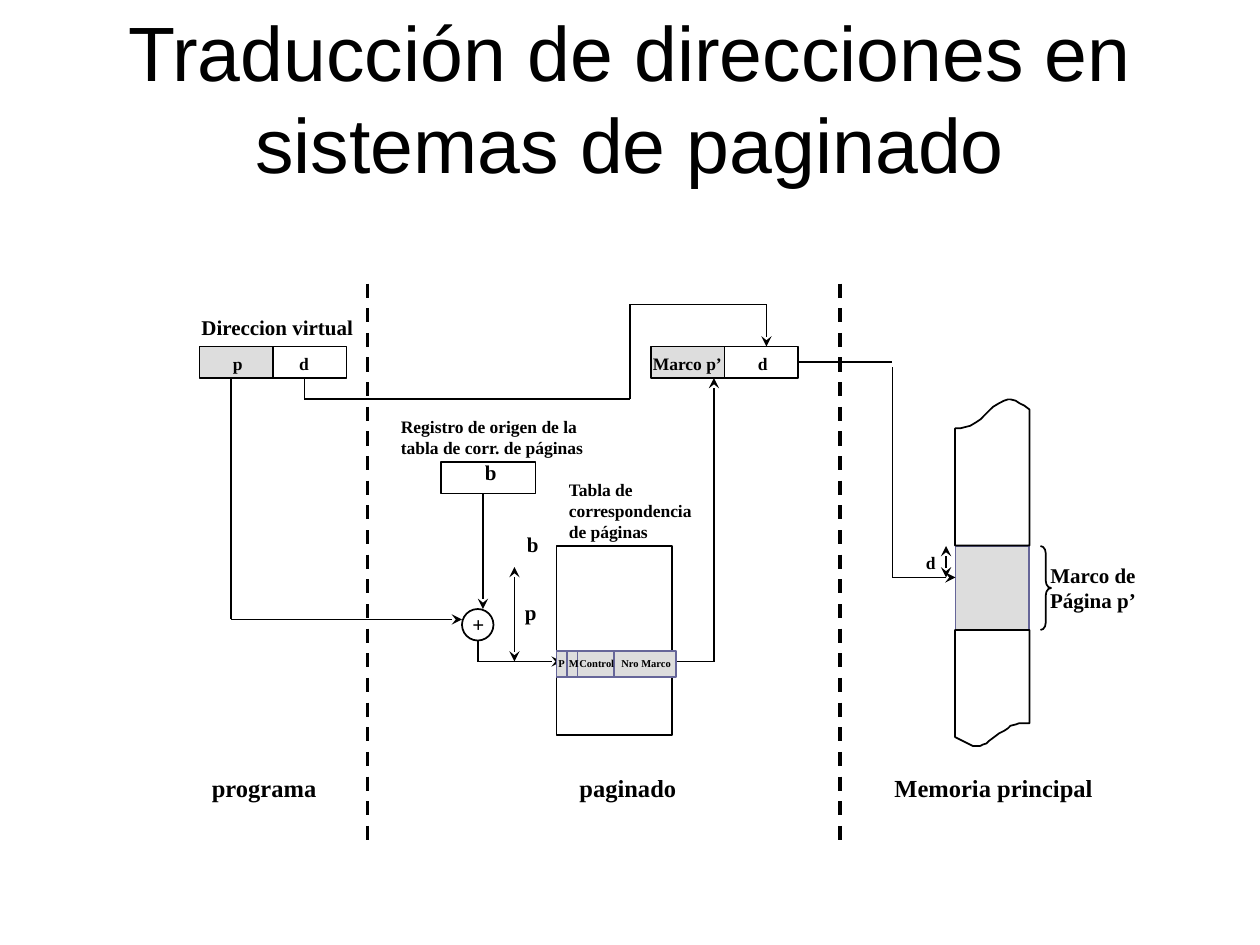
from pptx import Presentation
from pptx.dml.color import RGBColor
from pptx.enum.dml import MSO_LINE
from pptx.enum.shapes import MSO_CONNECTOR, MSO_SHAPE
from pptx.enum.text import MSO_ANCHOR, MSO_AUTO_SIZE, PP_ALIGN
from pptx.oxml.ns import qn
from pptx.util import Emu, Inches, Pt
from lxml.etree import SubElement

COLORS = {"ink": "000000", "paper": "FFFFFF", "gray": "DDDDDD", "slate": "666699"}
COLS, ROWS = 120, 90
UNIT = Inches(10) // COLS
CELL_W, CELL_H = 7, 3

# Memory outlines in hundredths of an inch
UPPER_MEMORY = [
    (817, 325), (813, 322), (809, 320), (806, 318), (802, 317), (800, 317),
    (797, 318), (793, 320), (788, 323), (784, 327), (778, 333), (775, 335),
    (770, 338), (766, 339), (762, 340), (758, 340), (758, 433), (817, 433)]
LOWER_MEMORY = [
    (758, 585), (762, 587), (766, 589), (770, 591), (772, 592), (778, 592),
    (780, 591), (783, 590), (785, 588), (789, 585), (793, 582), (797, 580),
    (800, 578), (802, 576), (806, 575), (809, 574), (817, 574), (817, 500),
    (758, 500)]


def u(n):
    """Length of n grid units."""
    return Emu(round(n * UNIT))


def rgb(name):
    return RGBColor.from_string(COLORS[name])


def style(s, fill, line):
    s.shadow.inherit = False
    if fill:
        s.fill.solid()
        s.fill.fore_color.rgb = rgb(fill)
    else:
        s.fill.background()
    s.line.color.rgb = rgb(line)
    s.line.width = Pt(1)
    return s


def box(shapes, x, y, w, h, fill="paper", line="ink", kind=MSO_SHAPE.RECTANGLE):
    return style(shapes.add_shape(kind, u(x), u(y), u(w), u(h)), fill, line)


def outline(shapes, points):
    builder = shapes.build_freeform(*points[0], scale=Inches(0.01))
    builder.add_line_segments(points[1:], close=True)
    return style(builder.convert_to_shape(), "paper", "ink")


def line(shapes, start, end, color="ink", width=1, dash=False, arrows=()):
    """Straight line; arrows lists the ends to point, headEnd before tailEnd."""
    c = shapes.add_connector(MSO_CONNECTOR.STRAIGHT, *map(u, start + end))
    c.line.color.rgb = rgb(color)
    c.line.width = Pt(width)
    if dash:
        c.line.dash_style = MSO_LINE.DASH
    for name in arrows:
        SubElement(c.line._get_or_add_ln(), qn(f"a:{name}"), type="stealth")
    SubElement(c._element.spPr, qn("a:effectLst"))
    return c


def route(shapes, *points, arrow=True):
    """Chain of lines through points, with an arrow on the last."""
    for i in range(len(points) - 1):
        last = i == len(points) - 2
        line(shapes, points[i], points[i + 1],
             arrows=("tailEnd",) if arrow and last else ())


def write(tf, text, size, font="Times New Roman", bold=True, align=PP_ALIGN.LEFT):
    for i, part in enumerate(text.split("\n")):
        p = tf.add_paragraph() if i else tf.paragraphs[0]
        p.alignment = align
        r = p.add_run()
        r.text = part
        r.font.size, r.font.name, r.font.bold = Pt(size), font, bold
        r.font.color.rgb = rgb("ink")


def label(shapes, text, x, y, w, h, size=10, wrap=False, **fmt):
    tf = shapes.add_textbox(u(x), u(y), u(w), u(h)).text_frame
    tf.word_wrap = wrap
    tf.auto_size = MSO_AUTO_SIZE.SHAPE_TO_FIT_TEXT
    write(tf, text, size, **fmt)


def title(s, text):
    t = s.shapes.title
    t.left, t.top, t.width, t.height = u(6), u(3.6), u(108), u(15)
    tf = t.text_frame
    tf.auto_size = MSO_AUTO_SIZE.NONE
    tf.vertical_anchor = MSO_ANCHOR.BOTTOM
    write(tf, text, 44, font="Arial", bold=False, align=PP_ALIGN.CENTER)


def draw_boxes(shapes):
    """Draw every box and return the offset cell of the physical address."""
    box(shapes, 53, 52, 11, 18)
    box(shapes, 42, 44, 9, 3)
    for x in (19, 62):
        box(shapes, x, 33, CELL_W, CELL_H, fill="gray")
        offset = box(shapes, x + CELL_W, 33, CELL_W, CELL_H)
    box(shapes, 91, 52, CELL_W, 8, fill="gray", line="slate")
    outline(shapes, LOWER_MEMORY)
    outline(shapes, UPPER_MEMORY)
    box(shapes, 44, 58, 3, 3, kind=MSO_SHAPE.OVAL)
    brace = box(shapes, 99.1, 52, 1, 8, fill=None, kind=MSO_SHAPE.RIGHT_BRACE)
    brace.adjustments[0] = 0.7
    return offset


def draw_lines(shapes, offset):
    for x in (35, 80):
        line(shapes, (x, 27), (x, 81), width=2, dash=True)
    route(shapes, (22, 36), (22, 59), (44, 59))
    route(shapes, (46, 47), (46, 58))
    route(shapes, (45.5, 61), (45.5, 63), (53.5, 63))
    route(shapes, (29, 36), (29, 38), (60, 38), (60, 29), (73, 29), (73, 33))
    route(shapes, (64, 63), (68, 63), (68, 36))
    line(shapes, (76, 34.5), (85, 34.5)).begin_connect(offset, 3)
    route(shapes, (85, 35), (85, 55), (91, 55))
    for x, top, bottom in ((49, 54, 63), (90.1, 52, 55)):
        line(shapes, (x, bottom), (x, top), arrows=("headEnd", "tailEnd"))


def draw_labels(shapes):
    for text, x, w in (("programa", 19, 12.5), ("paginado", 54, 11.6),
                       ("Memoria principal", 84, 21.4)):
        label(shapes, text, x, 73, w, 4, size=14)
    for text, x, y, w in (("Direccion virtual", 18, 29.4, 16.9),
                          ("p", 48.8, 56.5, 3.5), ("b", 49, 50, 3.5),
                          ("+", 43.8, 57.7, 3.6), ("b", 45, 43.2, 3)):
        label(shapes, text, x, y, w, 3.6, size=12)
    for text, x, y, w in (("p", 21, 33, 3.4), ("d", 27.3, 33, 3.4),
                          ("Marco p’", 61, 33, 9), ("d", 71, 33, 3.4),
                          ("d", 87, 52, 3.4)):
        label(shapes, text, x, y, w, 3.2)
    label(shapes, "Tabla de\ncorrespondencia\nde páginas", 53, 45, 14.2, 7.2)
    label(shapes, "Marco de\nPágina p’", 98.8, 53, 10.6, 6, size=12,
          align=PP_ALIGN.CENTER)
    label(shapes, "Registro de origen de la tabla de corr. de páginas",
          37, 39, 20, 5.2, wrap=True)


def draw_table_entry(shapes):
    entry = shapes.add_group_shape().shapes
    box(entry, 53, 62, 11.4, 2.5, fill="gray", line="slate")
    for x in (54, 55, 58.5):
        line(entry, (x, 62), (x, 64.5), color="slate")
    for text, x, w in (("P", 52, 3), ("M", 53, 2.5), ("Control", 54, 5.8),
                       ("Nro Marco", 58, 7.2)):
        label(entry, text, x, 62, w, 2.4, size=6)


def main():
    prs = Presentation()
    prs.slide_width, prs.slide_height = u(COLS), u(ROWS)
    s = prs.slides.add_slide(prs.slide_layouts[5])
    title(s, "Traducción de direcciones en sistemas de paginado")
    offset = draw_boxes(s.shapes)
    draw_lines(s.shapes, offset)
    draw_labels(s.shapes)
    draw_table_entry(s.shapes)
    prs.save("out.pptx")


if __name__ == "__main__":
    main()
